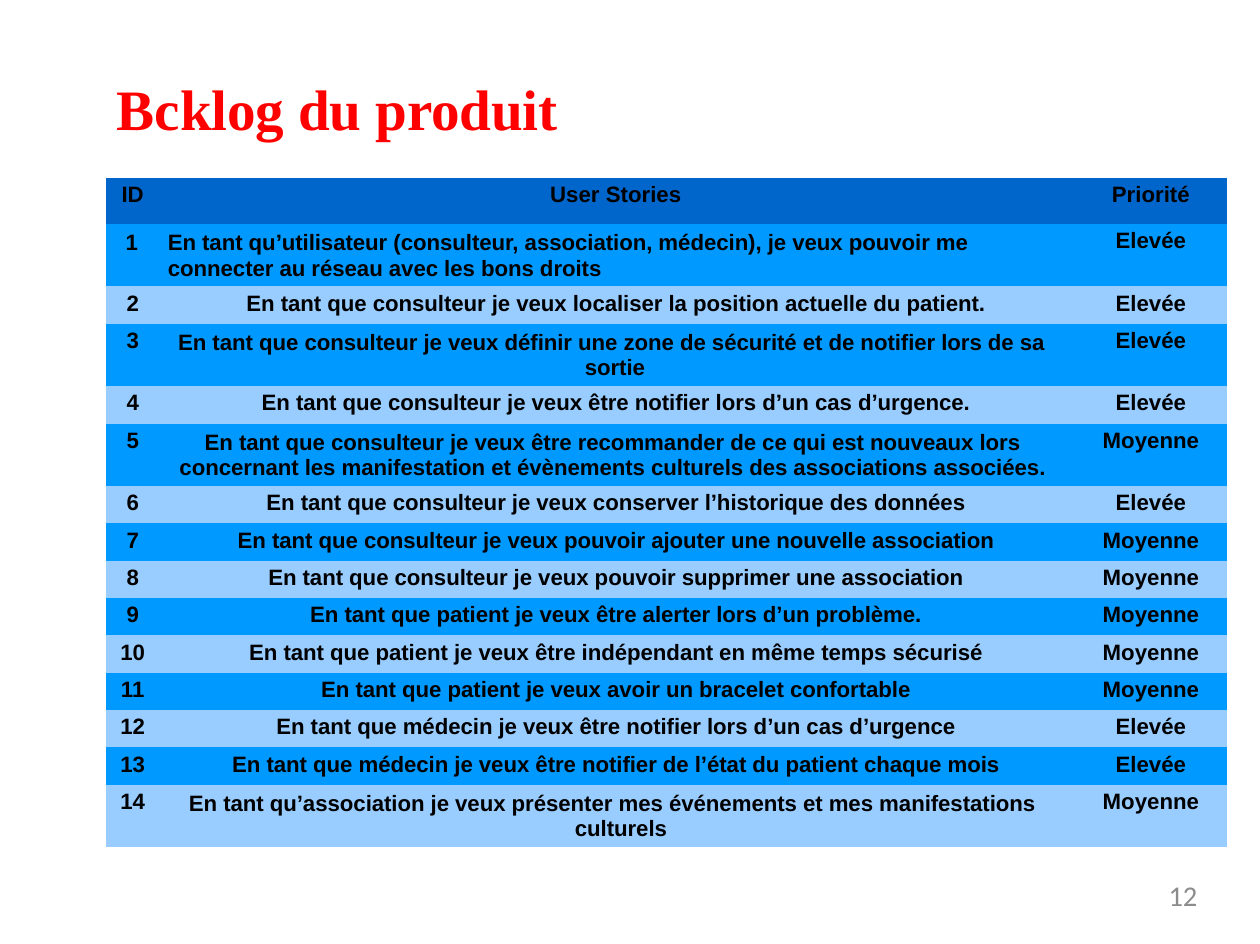
from dataclasses import dataclass
from typing import Optional

from pptx import Presentation
from pptx.dml.color import RGBColor
from pptx.enum import text
from pptx.util import Cm, Pt

HEADER_FILL, DARK_FILL, LIGHT_FILL = "0066CC", "0099FF", "99CCFF"
NO_GRID_STYLE = "{2D5ABB26-0587-4C30-8999-92F81FD0307C}"
COLUMN_WIDTHS = (1.22, 20.36, 3.33)
HEADER_HEIGHT, SHORT_HEIGHT, TALL_HEIGHT = 1.02, 0.83, 1.39
CENTER, LEFT, RIGHT = text.PP_ALIGN.CENTER, text.PP_ALIGN.LEFT, text.PP_ALIGN.RIGHT


@dataclass
class Indent:
    left: float
    first: float


@dataclass
class Story:
    wording: str
    priority: str
    indent: Optional[Indent] = None  # set for a story on two lines
    spans_id: bool = False


STORIES = [
    Story("En tant qu’utilisateur (consulteur, association, médecin), je veux pouvoir me "
          "connecter au réseau avec les bons droits", "Elevée", Indent(1.37, -0.94), True),
    Story("En tant que consulteur je veux localiser la position actuelle du patient.", "Elevée"),
    Story("En tant que consulteur je veux définir une zone de sécurité et de notifier lors de sa "
          "sortie", "Elevée", Indent(9.42, -9.04)),
    Story("En tant que consulteur je veux être notifier lors d’un cas d’urgence.", "Elevée"),
    Story("En tant que consulteur je veux être recommander de ce qui est nouveaux lors "
          "concernant les manifestation et évènements culturels des associations associées.",
          "Moyenne", Indent(0.41, 0.56)),
    Story("En tant que consulteur je veux conserver l’historique des données", "Elevée"),
    Story("En tant que consulteur je veux pouvoir ajouter une nouvelle association", "Moyenne"),
    Story("En tant que consulteur je veux pouvoir supprimer une association", "Moyenne"),
    Story("En tant que patient je veux être alerter lors d’un problème.", "Moyenne"),
    Story("En tant que patient je veux être indépendant en même temps sécurisé", "Moyenne"),
    Story("En tant que patient je veux avoir un bracelet confortable", "Moyenne"),
    Story("En tant que médecin je veux être notifier lors d’un cas d’urgence", "Elevée"),
    Story("En tant que médecin je veux être notifier de l’état du patient chaque mois", "Elevée"),
    Story("En tant qu’association je veux présenter mes événements et mes manifestations "
          "culturels", "Moyenne", Indent(9.2, -8.58)),
]


def color(value: str) -> RGBColor:
    return RGBColor.from_string(value)


def format_paragraph(paragraph, font: str, size: float, hex_color: str, bold: bool,
                     alignment, spacing: int = 0) -> None:
    """Format the runs; spacing is between letters, in hundredths of a point."""
    paragraph.alignment = alignment
    for run in paragraph.runs:
        run.font.name = font
        run.font.size = Pt(size)
        run.font.bold = bold
        run.font.color.rgb = color(hex_color)
        if spacing:
            run._r.get_or_add_rPr().set("spc", str(spacing))


def set_insets(frame, top: float = 0, right: float = 0) -> None:
    frame.margin_left = frame.margin_bottom = 0
    frame.margin_top, frame.margin_right = Cm(top), Cm(right)


def fill_cell(cell, wording: str, fill: str, indent: Optional[Indent] = None,
              spacing: int = 0, right: float = 0.04) -> None:
    cell.fill.solid()
    cell.fill.fore_color.rgb = color(fill)
    set_insets(cell, 0.13 if indent else 0.1, right)
    paragraph = cell.text_frame.paragraphs[0]
    paragraph.text = wording
    format_paragraph(paragraph, "Arial", 14, "000000", True, LEFT if indent else CENTER, spacing)
    paragraph.space_before = Pt(3.7 if indent else 2.6)
    if indent:
        paragraph.line_spacing = Pt(16.1)
        properties = paragraph._p.get_or_add_pPr()
        properties.set("marL", str(Cm(indent.left)))
        properties.set("indent", str(Cm(indent.first)))


def add_title(slide) -> None:
    title = slide.shapes.title
    title.left, title.top, title.width, title.height = Cm(2.6), Cm(1.6), Cm(10.03), Cm(1.57)
    frame = title.text_frame
    frame.text = "Bcklog du produit"
    frame.auto_size = text.MSO_AUTO_SIZE.NONE
    frame.vertical_anchor = text.MSO_ANCHOR.TOP
    set_insets(frame, 0.03)
    frame.paragraphs[0].space_before = Pt(1)
    format_paragraph(frame.paragraphs[0], "Times New Roman", 36, "FF0000", True, LEFT, -10)


def add_backlog(slide) -> None:
    heights = [HEADER_HEIGHT] + [TALL_HEIGHT if story.indent else SHORT_HEIGHT
                                 for story in STORIES]
    table = slide.shapes.add_table(len(heights), len(COLUMN_WIDTHS), Cm(2.36), Cm(3.96),
                                   Cm(sum(COLUMN_WIDTHS)), Cm(sum(heights))).table
    table.horz_banding = False
    table._tbl.tblPr[0].text = NO_GRID_STYLE
    for column, width in zip(table.columns, COLUMN_WIDTHS):
        column.width = Cm(width)
    for row, height in zip(table.rows, heights):
        row.height = Cm(height)

    for index, heading in enumerate(("ID", "User Stories", "Priorité")):
        fill_cell(table.cell(0, index), heading, HEADER_FILL, right=0.14 if index == 1 else 0.04)
    for number, story in enumerate(STORIES, 1):
        fill = DARK_FILL if number % 2 else LIGHT_FILL
        id_cell, story_cell, priority_cell = (table.cell(number, index) for index in range(3))
        if story.spans_id:
            id_cell.merge(story_cell)
            fill_cell(id_cell, f"{number}\t{story.wording}", fill, story.indent, -7, 0.5)
        else:
            fill_cell(id_cell, str(number), fill)
            fill_cell(story_cell, story.wording, fill, story.indent, -5, 0.14)
        fill_cell(priority_cell, story.priority, fill)


def add_page_number(slide) -> None:
    frame = slide.shapes.add_textbox(Cm(20.17), Cm(19.53), Cm(6.45), Cm(1.04)).text_frame
    frame.word_wrap = True
    set_insets(frame)
    frame.text = "12"
    format_paragraph(frame.paragraphs[0], "Calibri", 18, "8C8C8C", False, RIGHT)


def main() -> None:
    presentation = Presentation()
    presentation.slide_width, presentation.slide_height = Cm(28.01), Cm(20.99)
    slide = presentation.slides.add_slide(presentation.slide_layouts[5])
    add_title(slide)
    add_backlog(slide)
    add_page_number(slide)
    presentation.save("out.pptx")


if __name__ == "__main__":
    main()
